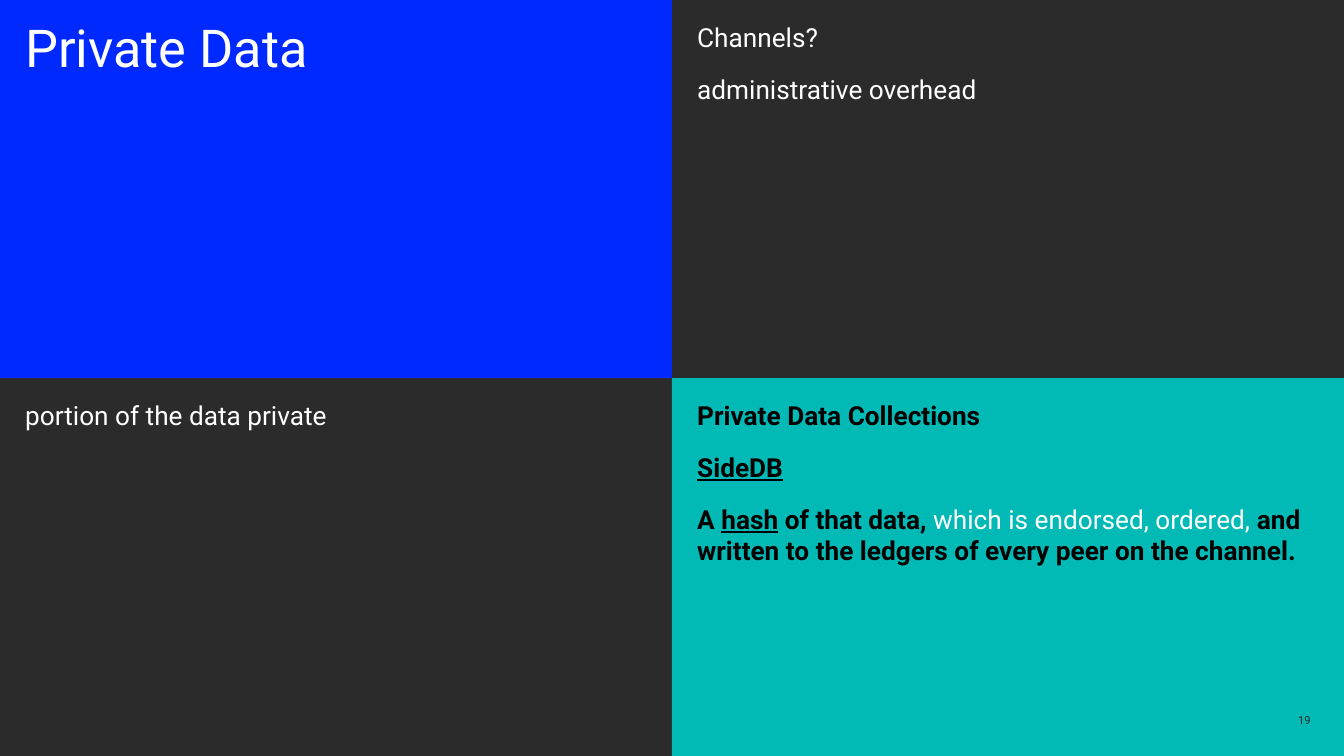
from pptx import Presentation
from pptx.dml.color import RGBColor
from pptx.enum.shapes import MSO_SHAPE as Preset
from pptx.enum.text import MSO_ANCHOR as Anchor, MSO_AUTO_SIZE as AutoSize, PP_ALIGN as Align
from pptx.util import Inches, Pt

COLORS = {"blue": "0029FF", "dark": "2B2B2B", "teal": "01BAB6",
          "white": "FFFFFF", "black": "000000"}
FONT = "Roboto"
SLIDE_W, SLIDE_H = 13.33, 7.5
HALF_W, HALF_H = SLIDE_W / 2, SLIDE_H / 2


def rgb(name):
    return RGBColor.from_string(COLORS[name])


def set_font(font, size, color, bold=False):
    font.name = FONT
    font.size = Pt(size)
    font.color.rgb = rgb(color)
    font.bold = bold


def set_frame(frame, insets, anchor=Anchor.TOP):
    frame.word_wrap = True
    frame.auto_size = AutoSize.NONE
    frame.vertical_anchor = anchor
    (frame.margin_left, frame.margin_top,
     frame.margin_right, frame.margin_bottom) = map(Inches, insets)


def place(shape, box):
    shape.left, shape.top, shape.width, shape.height = map(Inches, box)


def add_title(slide, box, text):
    """Title quadrant."""
    title = slide.shapes.title
    place(title, box)
    title.fill.solid()
    title.fill.fore_color.rgb = rgb("blue")
    set_frame(title.text_frame, (0.25, 0.22, 0.25, 0.25))
    title.text_frame.text = text
    heading = title.text_frame.paragraphs[0]
    heading.alignment = Align.LEFT
    heading.line_spacing = 0.9
    set_font(heading.font, 37.3, "white")


def add_quadrant(slide, box, fill, color, bold, lines):
    """Filled quadrant; each line is a list of (text, style) runs."""
    quadrant = slide.shapes.add_shape(Preset.RECTANGLE, *map(Inches, box))
    quadrant.shadow.inherit = False
    quadrant.fill.solid()
    quadrant.fill.fore_color.rgb = rgb(fill)
    quadrant.line.fill.background()
    frame = quadrant.text_frame
    set_frame(frame, (0.25, 0.21, 0.25, 0.25))
    for index, line in enumerate(lines):
        paragraph = frame.add_paragraph() if index else frame.paragraphs[0]
        paragraph.alignment = Align.LEFT
        if index:
            paragraph.space_before = Pt(14.7)
        set_font(paragraph.font, 18.7, color, bold)
        for text, style in line:
            run = paragraph.add_run()
            run.text = text
            # Runs that depart from the paragraph's style
            if style == "underline":
                run.font.underline = True
            elif style == "light":
                set_font(run.font, 18.7, "white")


def add_page_number(slide, box, number):
    page = slide.shapes.add_textbox(*map(Inches, box))
    set_frame(page.text_frame, (0, 0, 0, 0), Anchor.MIDDLE)
    page.text_frame.text = number
    paragraph = page.text_frame.paragraphs[0]
    paragraph.alignment = Align.RIGHT
    set_font(paragraph.font, 8, "dark")


def quarter(column, row):
    return column * HALF_W, row * HALF_H, HALF_W, HALF_H


def main():
    deck = Presentation()
    deck.slide_width, deck.slide_height = Inches(SLIDE_W), Inches(SLIDE_H)
    slide = deck.slides.add_slide(deck.slide_layouts[5])

    # Top row: topic and the drawback of channels
    add_title(slide, quarter(0, 0), "Private Data")
    add_quadrant(slide, quarter(1, 0), "dark", "white", False, [
        [("Channels?", None)],
        [("administrative overhead", None)],
    ])

    # Bottom row: the need and the answer
    add_quadrant(slide, quarter(0, 1), "dark", "white", False, [
        [("portion of the data private", None)],
    ])
    add_quadrant(slide, quarter(1, 1), "teal", "black", True, [
        [("Private Data Collections", None)],
        [("SideDB", "underline")],
        [("A ", None), ("hash", "underline"), (" of that data, ", None),
         ("which is endorsed, ordered, ", "light"),
         ("and written to the ledgers of every peer on the channel.", None)],
    ])

    add_page_number(slide, (10, 7.04, 3, 0.2), "19")
    deck.save("out.pptx")


if __name__ == "__main__":
    main()
